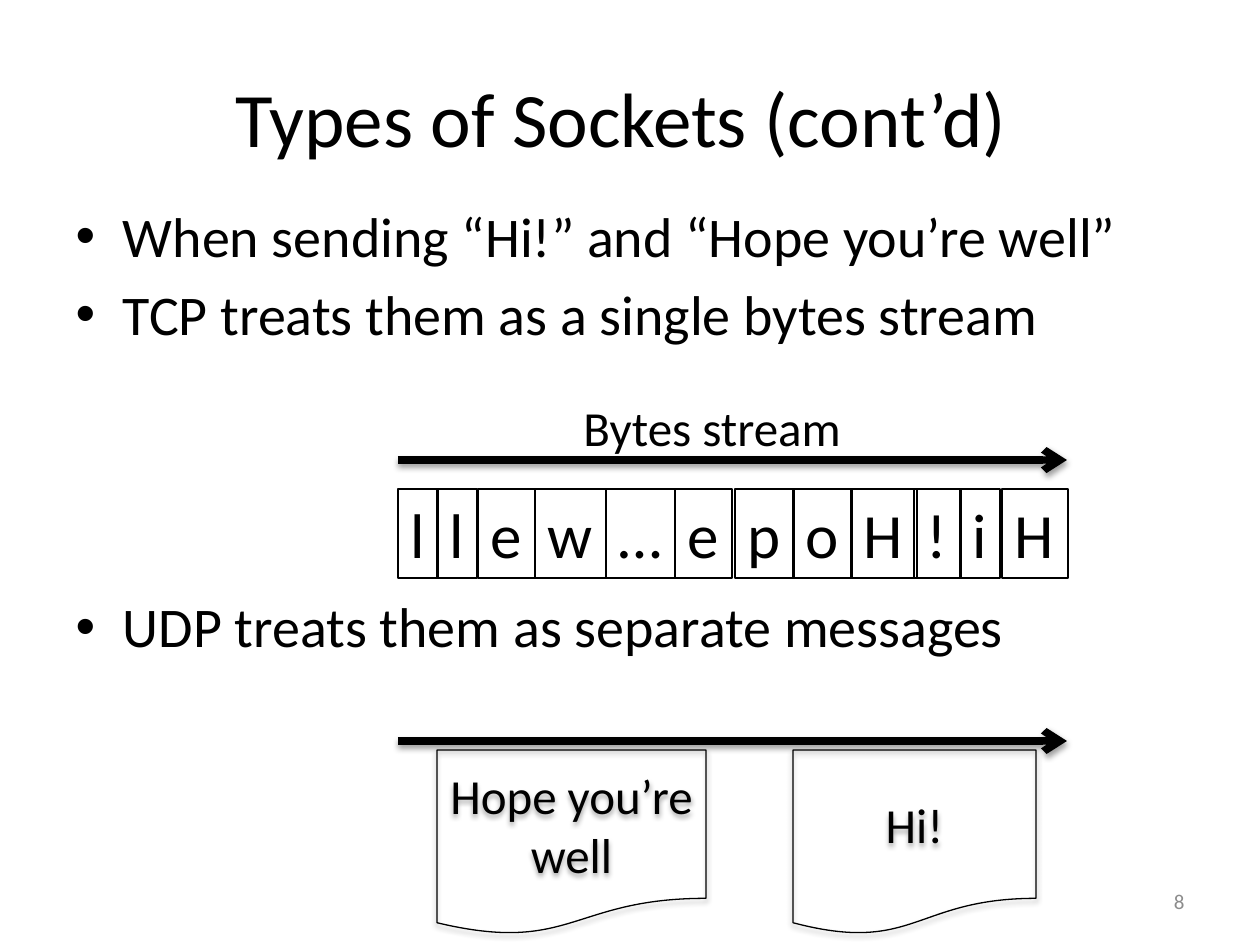
from lxml import etree
from pptx import Presentation
from pptx.dml.color import RGBColor
from pptx.enum.shapes import MSO_CONNECTOR, MSO_SHAPE
from pptx.enum.text import MSO_ANCHOR, MSO_AUTO_SIZE, PP_ALIGN
from pptx.oxml import parse_xml
from pptx.oxml.ns import nsdecls, qn
from pptx.util import Emu, Pt

LEFT, CENTER, RIGHT = PP_ALIGN.LEFT, PP_ALIGN.CENTER, PP_ALIGN.RIGHT
TOP, MIDDLE = MSO_ANCHOR.TOP, MSO_ANCHOR.MIDDLE
NO_FIT, GROW = MSO_AUTO_SIZE.NONE, MSO_AUTO_SIZE.SHAPE_TO_FIT_TEXT
DOCUMENT = MSO_SHAPE.FLOWCHART_DOCUMENT
STRAIGHT = MSO_CONNECTOR.STRAIGHT


class Theme:
    font = "Calibri"
    ink = RGBColor(0x00, 0x00, 0x00)
    muted = RGBColor(0x8C, 0x8C, 0x8C)
    title, body, byte, label, number = Pt(44), Pt(32), Pt(36), Pt(28), Pt(12)
    outline, arrow = Pt(0.75), Pt(4.25)


def px(*lengths):
    """Lengths in px, at 126 to the inch, as EMU."""
    return [Emu(round(length * 914400 / 126)) for length in lengths]


def write(shape, lines, size, color=Theme.ink, align=LEFT, **frame_format):
    """Fill a shape with paragraphs in the theme font."""
    frame = shape.text_frame
    frame.text = "\n".join(lines)
    settings = {"word_wrap": True, "auto_size": NO_FIT, "vertical_anchor": TOP}
    for name, value in (settings | frame_format).items():
        setattr(frame, name, value)
    for paragraph in frame.paragraphs:
        paragraph.alignment = align
        paragraph.font.color.rgb = color
        for name, value in {"name": Theme.font, "size": size}.items():
            setattr(paragraph.font, name, value)


presentation = Presentation()
presentation.slide_width, presentation.slide_height = px(1260, 945)
slide = presentation.slides.add_slide(presentation.slide_layouts[1])
shapes = slide.shapes

# Title and bullets
title, body = slide.placeholders
for placeholder, box in ((title, (63, 38, 1134, 157)), (body, (63, 195, 1134, 649))):
    placeholder.left, placeholder.top, placeholder.width, placeholder.height = px(*box)
write(title, ["Types of Sockets (cont’d) "], Theme.title, align=CENTER,
      vertical_anchor=MIDDLE)
write(body, ["When sending “Hi!” and “Hope you’re well”",
             "TCP treats them as a single bytes stream",
             "UDP treats them as separate messages"], Theme.body)
# The last bullet leaves room for the byte stream above it
for paragraph, space in zip(body.text_frame.paragraphs, (0, 6.4, 140)):
    paragraph.space_before = Pt(space)

# Slide number
number = shapes.add_textbox(*px(903, 876, 294, 50))
write(number, ["8"], Theme.number, Theme.muted, RIGHT, vertical_anchor=MIDDLE)

# Byte stream: one cell per letter, as wide as the letter needs
cell_widths = {"l": 40, "e": 57, "w": 71, "…": 69, "p": 59, "o": 59,
               "H": 66, "!": 47, "i": 40}
cell_lefts = (398, 437, 478, 535, 606, 675, 735, 793, 851, 914, 960, 1002)
for letter, left in zip("llew…epoH!iH", cell_lefts):
    cell = shapes.add_textbox(*px(left, 489, cell_widths[letter], 89))
    cell.line.color.rgb = Theme.ink
    cell.line.width = Theme.outline
    write(cell, [letter], Theme.byte, word_wrap=False, auto_size=GROW)

stream_label = shapes.add_textbox(*px(571, 391, 286, 72))
write(stream_label, ["Bytes stream"], Theme.label, word_wrap=False, auto_size=GROW)

# Separate messages
shadowed = []
for message, left, width in (("Hi!", 793, 243), ("Hope you’re well", 437, 269)):
    document = shapes.add_shape(DOCUMENT, *px(left, 750, width, 185))
    document.fill.background()
    document.line.color.rgb = Theme.ink
    document.line.width = Theme.outline
    write(document, [message], Theme.label, align=CENTER, vertical_anchor=MIDDLE)
    document.shadow.inherit = False
    shadowed.append((document, 1.8, 35))

# Direction arrows
for y in (460, 741):
    arrow = shapes.add_connector(STRAIGHT, *px(398, y, 1067, y))
    arrow.line.color.rgb = Theme.ink
    arrow.line.width = Theme.arrow
    etree.SubElement(arrow.line._get_or_add_ln(), qn("a:tailEnd"), type="arrow")
    etree.SubElement(arrow._element.spPr, qn("a:effectLst"))
    shadowed.append((arrow, 1.6, 38))

# Soft shadows straight below documents and arrows
for shape, distance, opacity in shadowed:
    shape._element.spPr.find(qn("a:effectLst")).append(parse_xml(
        f'<a:outerShdw {nsdecls("a")} blurRad="{Pt(3.1)}" dist="{Pt(distance)}" '
        f'dir="5400000" rotWithShape="0"><a:srgbClr val="{Theme.ink}">'
        f'<a:alpha val="{opacity * 1000}"/></a:srgbClr></a:outerShdw>'))

presentation.save("out.pptx")
